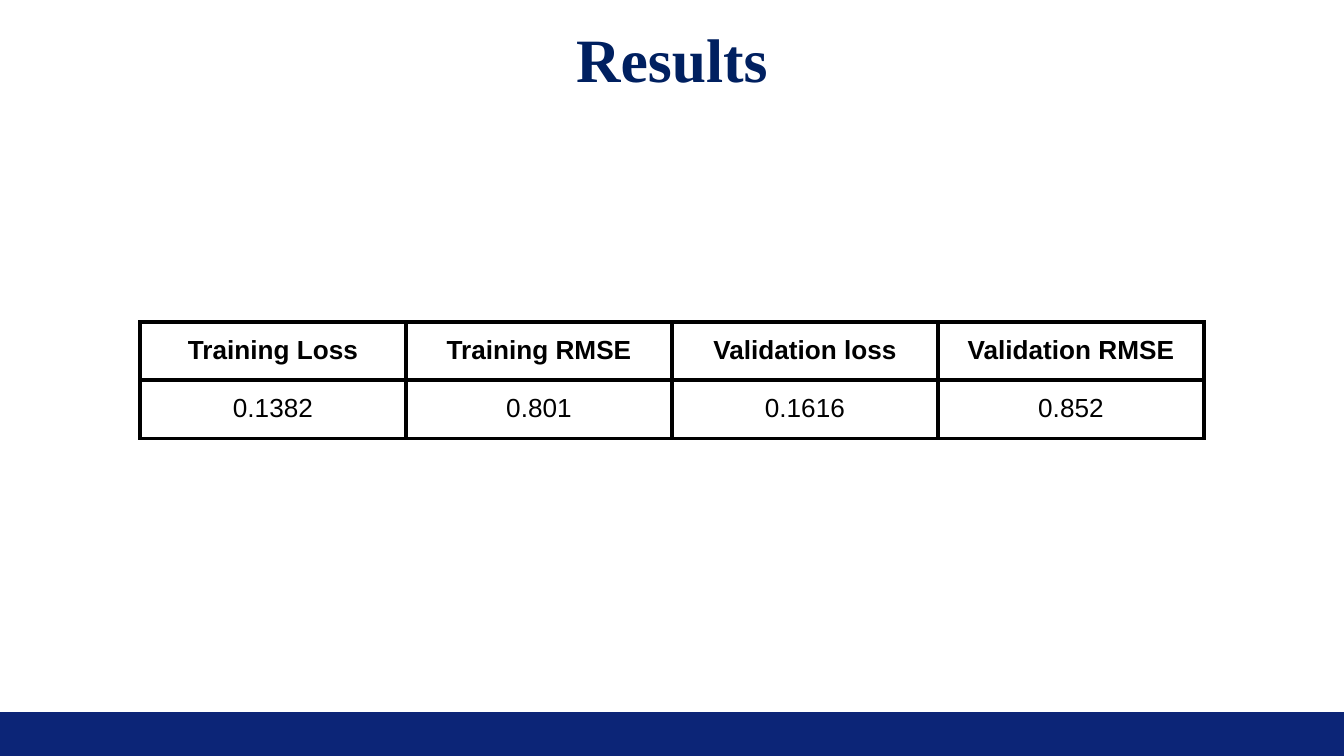
from lxml import etree
from pptx import Presentation
from pptx.dml.color import RGBColor
from pptx.enum.shapes import MSO_SHAPE
from pptx.enum.text import MSO_ANCHOR, PP_ALIGN
from pptx.oxml.ns import qn
from pptx.util import Pt

RECT = MSO_SHAPE.RECTANGLE
CENTER = PP_ALIGN.CENTER
MIDDLE = MSO_ANCHOR.MIDDLE

TITLE = "Results"
ROWS = [
    ("Training Loss", "Training RMSE", "Validation loss", "Validation RMSE"),
    ("0.1382", "0.801", "0.1616", "0.852"),
]

SLIDE_W, SLIDE_H = 720, 405
BAR_H = 23.5
TABLE_TOP, COL_W, ROW_H = 172.5, 142.5, 30
CELL_MARGIN = 7.2
BORDER = 2.25


def rgb(value):
    return RGBColor.from_string(value)


def format_text(tf, font, size, color, bold):
    p = tf.paragraphs[0]
    p.alignment = CENTER
    f = p.runs[0].font
    f.name, f.size, f.bold = font, Pt(size), bold
    f.color.rgb = rgb(color)


def add_borders(cell, color, width):
    """Outline all four sides; the lines must precede the fill in tcPr."""
    tcPr = cell._tc.get_or_add_tcPr()
    for i, side in enumerate(("a:lnL", "a:lnR", "a:lnT", "a:lnB")):
        ln = etree.Element(qn(side), w=str(Pt(width)))
        fill = etree.SubElement(ln, qn("a:solidFill"))
        etree.SubElement(fill, qn("a:srgbClr"), val=color)
        tcPr.insert(i, ln)


prs = Presentation()
prs.slide_width, prs.slide_height = Pt(SLIDE_W), Pt(SLIDE_H)
s = prs.slides.add_slide(prs.slide_layouts[6])

bar = s.shapes.add_shape(RECT, 0, Pt(SLIDE_H - BAR_H), Pt(SLIDE_W), Pt(BAR_H))
bar.shadow.inherit = False
bar.fill.solid()
bar.fill.fore_color.rgb = rgb("0C2577")
bar.line.fill.background()

title = s.shapes.add_textbox(Pt(49.5), Pt(8), Pt(621), Pt(51))
tf = title.text_frame
tf.word_wrap = True
tf.vertical_anchor = MIDDLE
tf.margin_left = tf.margin_right = Pt(5)
tf.margin_top = tf.margin_bottom = Pt(2.7)
tf.text = TITLE
tf.paragraphs[0].line_spacing = 0.9
format_text(tf, "Times New Roman", 33, "002060", True)

table_w = COL_W * len(ROWS[0])
table = s.shapes.add_table(
    len(ROWS), len(ROWS[0]), Pt((SLIDE_W - table_w) / 2), Pt(TABLE_TOP),
    Pt(table_w), Pt(ROW_H * len(ROWS))).table
for col in table.columns:
    col.width = Pt(COL_W)
for r, values in enumerate(ROWS):
    table.rows[r].height = Pt(ROW_H)
    for c, value in enumerate(values):
        cell = table.cell(r, c)
        cell.margin_left = cell.margin_right = Pt(CELL_MARGIN)
        cell.margin_top = cell.margin_bottom = Pt(CELL_MARGIN)
        cell.fill.background()
        cell.text_frame.text = value
        format_text(cell.text_frame, "Arial", 14, "000000", r == 0)
        add_borders(cell, "000000", BORDER)

prs.save("out.pptx")
